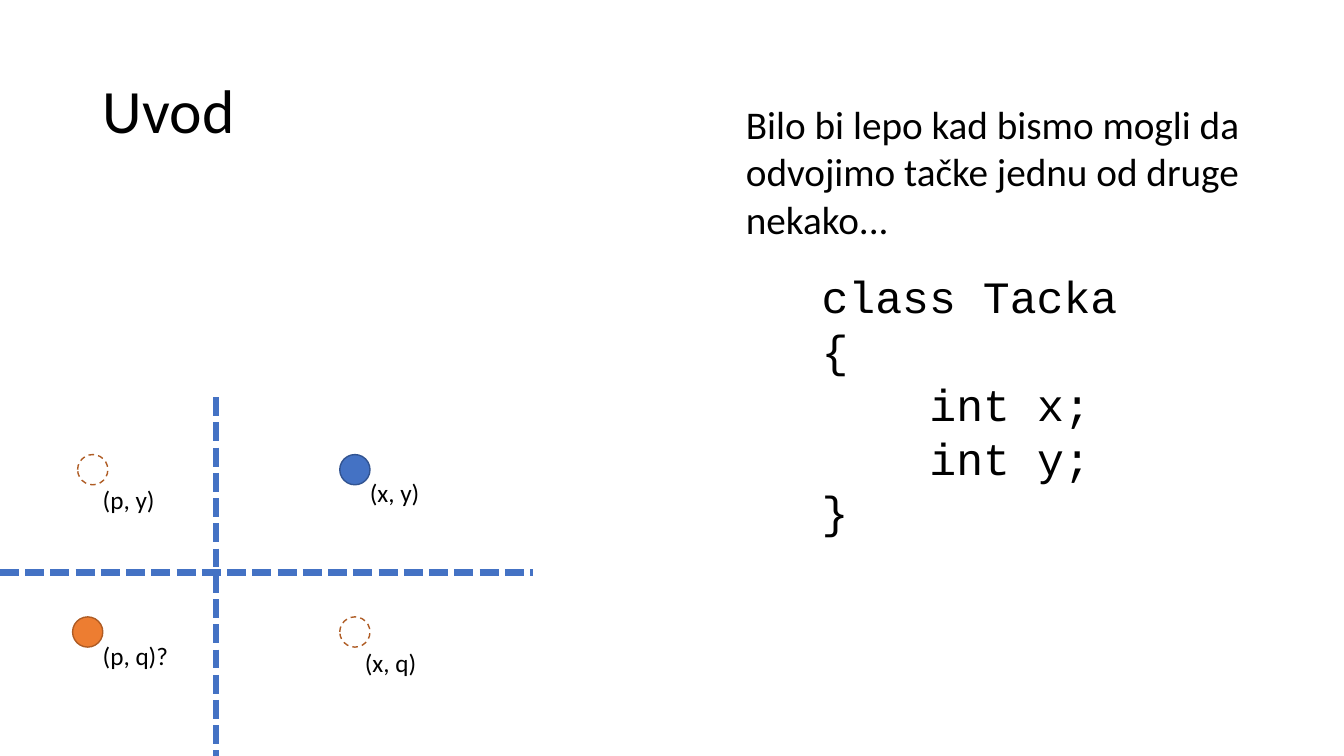
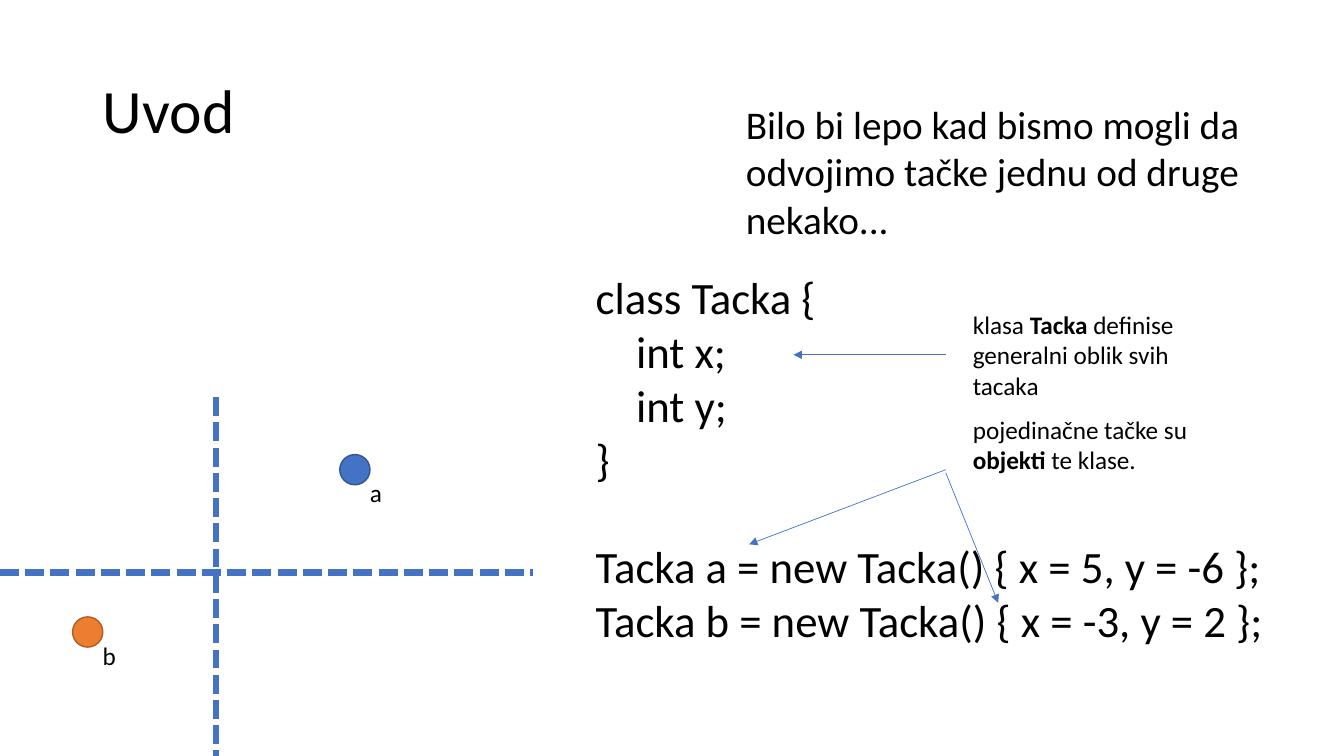
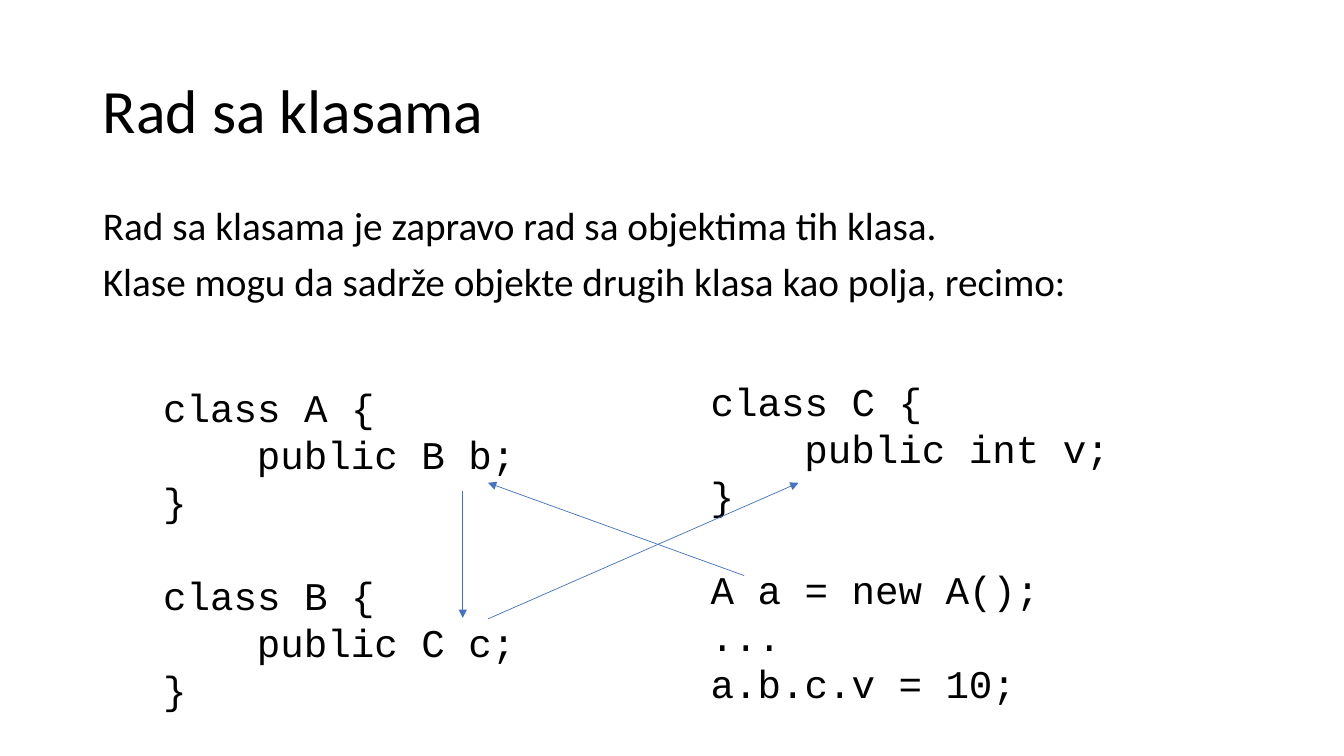
from dataclasses import dataclass

from lxml import etree
from pptx import Presentation
from pptx.dml.color import RGBColor
from pptx.enum.dml import MSO_LINE
from pptx.enum.shapes import MSO_CONNECTOR, MSO_SHAPE
from pptx.enum.text import MSO_ANCHOR, MSO_AUTO_SIZE, PP_ALIGN
from pptx.oxml.ns import qn
from pptx.util import Inches, Pt

STRAIGHT = MSO_CONNECTOR.STRAIGHT
ELLIPSE = MSO_SHAPE.OVAL
AXIS_DASH = MSO_LINE.SQUARE_DOT
DOT_DASH = MSO_LINE.DASH
LEFT = PP_ALIGN.LEFT
TOP, MIDDLE = MSO_ANCHOR.TOP, MSO_ANCHOR.MIDDLE
FIXED = MSO_AUTO_SIZE.NONE
CONTENT_LAYOUT, TITLE_LAYOUT = 1, 5


@dataclass(frozen=True)
class Theme:
    text: str = "000000"
    blue: str = "4472C4"
    blue_edge: str = "325491"
    orange: str = "ED7D31"
    orange_edge: str = "AF5C24"
    sans: str = "Calibri"
    mono: str = "Courier New"
    title: int = 44
    code: int = 32
    body: int = 28
    label: int = 18
    axis: float = 4.5
    edge: float = 1
    arrow: float = 0.5
    line_height: float = 1.2
    tight: float = 0.9


@dataclass(frozen=True)
class Box:
    left: float
    top: float
    width: float
    height: float

    def inches(self):
        return [Inches(n) for n in (self.left, self.top, self.width, self.height)]


THEME = Theme()
TITLE_BOX = Box(0.92, 0.4, 11.5, 1.45)
BODY_BOX = Box(0.92, 2, 11.5, 4.76)
INTRO_BOX = Box(7.3, 0.95, 6.03, 1.51)
PLANE_BOX = Box(0, 3.94, 5.29, 3.56)
INTRO = "Bilo bi lepo kad bismo mogli da odvojimo tačke jednu od druge nekako..."


def color(value):
    return RGBColor.from_string(value)


def add_span(para, text, size, font=THEME.sans, bold=False):
    span = para.add_run()
    span.text = text
    span.font.size = Pt(size)
    span.font.name = font
    span.font.bold = bold
    span.font.color.rgb = color(THEME.text)


def next_para(frame, index):
    para = frame.add_paragraph() if index else frame.paragraphs[0]
    para.alignment = LEFT
    return para


def fill_placeholder(holder, box, lines, size, anchor, space_before=0):
    holder.left, holder.top, holder.width, holder.height = box.inches()
    frame = holder.text_frame
    frame.auto_size = FIXED
    frame.vertical_anchor = anchor
    for index, line in enumerate(lines):
        para = next_para(frame, index)
        para.line_spacing = THEME.tight
        para.space_before = Pt(space_before)
        properties = para._p.get_or_add_pPr()
        properties.set("marL", "0")
        properties.set("indent", "0")
        etree.SubElement(properties, qn("a:buNone"))
        add_span(para, line, size)


def add_page(deck, layout, title):
    page = deck.slides.add_slide(deck.slide_layouts[layout])
    fill_placeholder(page.shapes.title, TITLE_BOX, [title], THEME.title, MIDDLE)
    return page


def add_frame(page, box):
    frame = page.shapes.add_textbox(*box.inches()).text_frame
    frame.word_wrap = True
    return frame


def add_text(page, box, spans, size):
    para = next_para(add_frame(page, box), 0)
    for text, bold in spans:
        add_span(para, text, size, bold=bold)


def add_code(page, box, blocks, size, font, indent):
    frame = add_frame(page, box)
    count = 0
    for block_index, block in enumerate(blocks):
        for line_index, line in enumerate(block):
            para = next_para(frame, count)
            count += 1
            if block_index and not line_index:
                para.space_before = Pt(size * THEME.line_height)
            if line.startswith("\t"):
                para._p.get_or_add_pPr().set("marL", str(Inches(indent)))
            add_span(para, line.strip(), size, font)


def add_line(page, start, end, width):
    ends = [Inches(n) for n in (*start, *end)]
    line = page.shapes.add_connector(STRAIGHT, *ends)
    line.line.color.rgb = color(THEME.blue)
    line.line.width = Pt(width)
    return line


def add_axis(page, start, end):
    axis = add_line(page, start, end, THEME.axis)
    axis.line.dash_style = AXIS_DASH
    etree.SubElement(axis._element.spPr, qn("a:effectLst"))


def add_arrow(page, start, end):
    arrow = add_line(page, start, end, THEME.arrow)
    outline = arrow.line._get_or_add_ln()
    etree.SubElement(outline, qn("a:tailEnd"), type="triangle")
    etree.SubElement(arrow._element.spPr, qn("a:effectLst"))


def add_point(page, left, top, label, edge, fill=None):
    dot = page.shapes.add_shape(ELLIPSE, *Box(left, top, 0.3, 0.3).inches())
    dot.shadow.inherit = False
    dot.line.color.rgb = color(edge)
    dot.line.width = Pt(THEME.edge)
    if fill:
        dot.fill.solid()
        dot.fill.fore_color.rgb = color(fill)
        right, down = 0.2, 0.18
    else:
        dot.fill.background()
        dot.line.dash_style = DOT_DASH
        right, down = 0.15, 0.25
    label_box = Box(left + right, top + down, 2.05, 0.4)
    add_text(page, label_box, [(label, False)], THEME.label)


def add_plane(page, box, blue_label, orange_label, projections=()):
    center_x, center_y = box.left + 2.14, box.top + 1.74
    add_axis(page, (box.left, center_y), (box.left + box.width, center_y))
    add_axis(page, (center_x, box.top), (center_x, box.top + box.height))
    points = [
        (3.37, 0.57, blue_label, THEME.blue_edge, THEME.blue),
        (0.72, 2.18, orange_label, THEME.orange_edge, THEME.orange),
        *((*place, THEME.orange_edge) for place in projections),
    ]
    for left, top, *style in points:
        add_point(page, box.left + left, box.top + top, *style)


def add_intro_page(deck, *labels):
    page = add_page(deck, TITLE_LAYOUT, "Uvod")
    add_plane(page, PLANE_BOX, *labels)
    add_text(page, INTRO_BOX, [(INTRO, False)], THEME.body)
    return page


def add_points_page(deck):
    projections = [(0.77, 0.57, "(p, y)"), (3.37, 2.18, "(x, q)")]
    page = add_intro_page(deck, "(x, y)", "(p, q)?", projections)
    code = [["class Tacka {", "\tint x;", "\tint y;", "}"]]
    add_code(page, Box(8.05, 2.62, 3.58, 2.26), code, THEME.code, THEME.mono, 1.07)


def add_objects_page(deck):
    page = add_intro_page(deck, "a", "b")
    code = [
        ["class Tacka {", "\tint x;", "\tint y;", "}"],
        ["Tacka a = new Tacka() { x = 5, y = -6 };",
         "Tacka b = new Tacka() { x = -3, y = 2 };"],
    ]
    add_code(page, Box(5.81, 2.63, 7.31, 3.87), code, THEME.code, THEME.sans, 0.4)
    class_note = [("klasa ", False), ("Tacka ", True),
                  ("definise generalni oblik svih tacaka", False)]
    object_note = [("pojedinačne tačke su ", False), ("objekti ", True),
                   ("te klase.", False)]
    add_text(page, Box(9.55, 3.02, 2.49, 1.01), class_note, THEME.label)
    add_text(page, Box(9.55, 4.06, 2.49, 0.71), object_note, THEME.label)
    add_arrow(page, (9.38, 3.52), (7.87, 3.52))
    add_arrow(page, (9.38, 4.66), (7.43, 5.4))
    add_arrow(page, (9.38, 4.69), (9.9, 5.98))


def add_classes_page(deck):
    page = add_page(deck, CONTENT_LAYOUT, "Rad sa klasama")
    lines = ["Rad sa klasama je zapravo rad sa objektima tih klasa.",
             "Klase mogu da sadrže objekte drugih klasa kao polja, recimo:"]
    fill_placeholder(page.placeholders[1], BODY_BOX, lines, THEME.body, TOP, 10)
    holders = [["class A {", "\tpublic B b;", "}"],
               ["class B {", "\tpublic C c;", "}"]]
    usage = [["class C {", "\tpublic int v;", "}"],
             ["A a = new A();", "...", "a.b.c.v = 10;"]]
    columns = [(Box(1.52, 3.75, 5.4, 3.4), holders),
               (Box(6.95, 3.69, 6.3, 3.4), usage)]
    for box, code in columns:
        add_code(page, box, code, THEME.body, THEME.mono, 0.93)
    add_arrow(page, (7.38, 5.71), (4.84, 4.79))
    add_arrow(page, (4.59, 4.87), (4.59, 6.13))
    add_arrow(page, (4.84, 6.14), (7.92, 4.79))


def main():
    deck = Presentation()
    deck.slide_width = Inches(13.33)
    deck.slide_height = Inches(7.5)
    add_points_page(deck)
    add_objects_page(deck)
    add_classes_page(deck)
    deck.save("out.pptx")


main()
